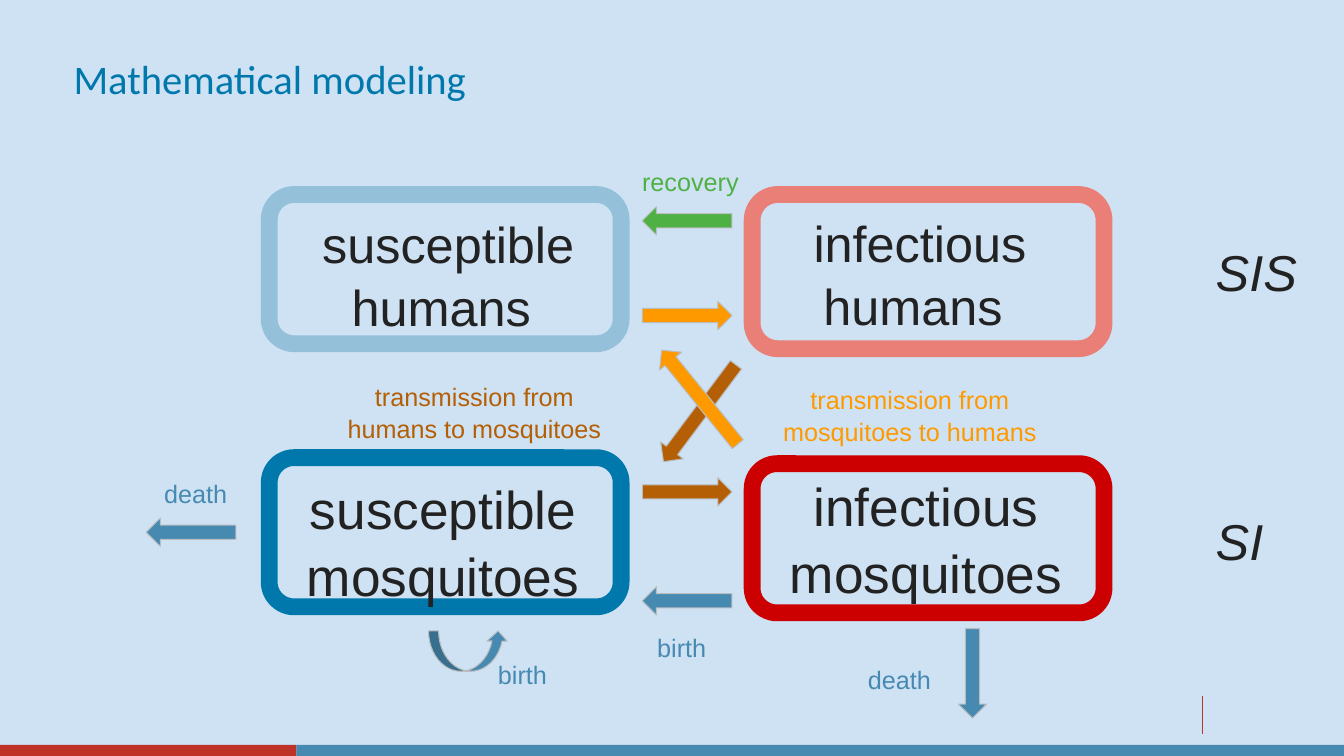
from lxml import etree
from pptx import Presentation
from pptx.dml.color import RGBColor
from pptx.enum.shapes import MSO_CONNECTOR, MSO_SHAPE
from pptx.enum.text import MSO_ANCHOR, PP_ALIGN
from pptx.oxml.ns import qn
from pptx.util import Inches, Pt

RECTANGLE, ROUNDED = MSO_SHAPE.RECTANGLE, MSO_SHAPE.ROUNDED_RECTANGLE
ARROW, CURVED_ARROW = MSO_SHAPE.RIGHT_ARROW, MSO_SHAPE.CURVED_UP_ARROW
LEFT, CENTER, JUSTIFY = PP_ALIGN.LEFT, PP_ALIGN.CENTER, PP_ALIGN.JUSTIFY
TOP, MIDDLE = MSO_ANCHOR.TOP, MSO_ANCHOR.MIDDLE

COLORS = {
    "background": "CFE2F3", "title": "0078AC", "text": "222222", "outline": "BABCBE",
    "red bar": "BF3227", "vital": "468AB2", "recovery": "4FB043",
    "to humans": "FF9900", "to mosquitoes": "B45F06",
    "susceptible humans": "95C0DA", "infectious humans": "E97F77",
    "susceptible mosquitoes": "0078AC", "infectious mosquitoes": "CC0000",
}

WIDTH, HEIGHT = 13.33, 7.5
BAR_HEIGHT, BAR_SPLIT = 0.11, 2.94
SUSCEPTIBLE, BETWEEN, INFECTIOUS, MODEL = 2.67, 6.37, 7.46, 11.96  # column left edges
BOX_WIDTH = 3.49
ARROW_LENGTH, DIAGONAL_LENGTH, ARROW_HEIGHT = 0.89, 1.2, 0.28
RIGHT, DOWN, DOWN_LEFT, WEST, UP_LEFT = 0, 90, 126.8, 180, 231  # clockwise degrees

# colour, left, top, height
COMPARTMENTS = [
    ("susceptible humans", SUSCEPTIBLE, 1.93, 1.48),
    ("infectious humans", INFECTIOUS, 1.93, 1.53),
    ("susceptible mosquitoes", SUSCEPTIBLE, 4.54, 1.48),
    ("infectious mosquitoes", INFECTIOUS, 4.6, 1.48),
]
# colour, left, top, length, direction
FLOWS = [
    ("recovery", BETWEEN, 2.05, ARROW_LENGTH, WEST),
    ("to humans", BETWEEN, 2.99, ARROW_LENGTH, RIGHT),
    ("to mosquitoes", 6.34, 3.96, DIAGONAL_LENGTH, DOWN_LEFT),
    ("to humans", 6.34, 3.8, DIAGONAL_LENGTH, UP_LEFT),
    ("to mosquitoes", BETWEEN, 4.74, ARROW_LENGTH, RIGHT),
    ("vital", BETWEEN, 5.82, ARROW_LENGTH, WEST),
    ("vital", 1.45, 5.14, ARROW_LENGTH, WEST),
    ("vital", 9.2, 6.54, ARROW_LENGTH, DOWN),
]
# paragraphs, left, top, width, height, style
LABELS = [
    (["susceptible humans "], 2.74, 1.98, 3.41, 1.41, "human"),
    (["infectious", "humans "], 7.36, 1.97, 3.53, 1.41, "human"),
    (["susceptible mosquitoes"], 2.84, 4.59, 3.11, 1.48, "mosquito"),
    (["infectious mosquitoes"], 7.63, 4.56, 3.11, 1.48, "mosquito"),
    (["transmission from humans to mosquitoes"], 3.26, 3.67, 2.89, 0.81, "to mosquitoes"),
    (["transmission from mosquitoes to humans"], 7.36, 3.7, 3.33, 0.81, "to humans"),
    (["recovery"], 6.27, 1.54, 1.18, 0.5, "recovery"),
    (["death"], 1.53, 4.63, 0.89, 0.5, "vital"),
    (["birth"], 6.42, 6.16, 0.89, 0.5, "vital"),
    (["birth"], 4.84, 6.43, 0.89, 0.5, "vital"),
    (["death"], 8.51, 6.48, 0.89, 0.5, "vital"),
    (["SIS"], MODEL, 2.26, WIDTH - MODEL, 0.81, "model"),
    (["SI"], MODEL, 4.93, WIDTH - MODEL, 0.81, "model"),
]
# size, colour, alignment, italic
STYLES = {
    "human": (36, "text", CENTER, False),
    "mosquito": (38, "text", CENTER, False),
    "model": (36, "text", LEFT, True),
    "to mosquitoes": (18, "to mosquitoes", CENTER, False),
    "to humans": (18, "to humans", CENTER, False),
    "recovery": (18, "recovery", LEFT, False),
    "vital": (18, "vital", LEFT, False),
    "title": (29, "title", JUSTIFY, False),
}


def color(name):
    return RGBColor.from_string(COLORS[name])


def add_figure(slide, kind, area, fill=None, line=None, line_width=0.75):
    shape = slide.shapes.add_shape(kind, *map(Inches, area))
    shape.shadow.inherit = False
    for part, name in ((shape.fill, fill), (shape.line.fill, line)):
        if name:
            part.solid()
            part.fore_color.rgb = color(name)
        else:
            part.background()
    if line:
        shape.line.width = Pt(line_width)
    return shape


def add_label(slide, paragraphs, area, style, font_name="Arial", margins=(0.1,) * 4,
              anchor=TOP, spacing=1.05):
    size, color_name, alignment, italic = STYLES[style]
    frame = slide.shapes.add_textbox(*map(Inches, area)).text_frame
    frame.text = "\n".join(paragraphs)
    left, top, right, bottom = map(Inches, margins)
    frame_format = {"word_wrap": True, "vertical_anchor": anchor, "margin_left": left,
                    "margin_top": top, "margin_right": right, "margin_bottom": bottom}
    for name, value in frame_format.items():
        setattr(frame, name, value)
    for paragraph in frame.paragraphs:
        paragraph.alignment = alignment
        paragraph.line_spacing = spacing
        font = paragraph.runs[0].font
        for name, value in {"name": font_name, "size": Pt(size), "italic": italic}.items():
            setattr(font, name, value)
        font.color.rgb = color(color_name)


def add_footer(slide):
    mark = slide.shapes.add_connector(
        MSO_CONNECTOR.STRAIGHT, *map(Inches, (11.93, 6.9, 11.93, 7.28)))
    mark.line.color.rgb = color("red bar")
    mark.line.width = Pt(0.75)
    etree.SubElement(mark._element.spPr, qn("a:effectLst"))
    bar_top = HEIGHT - BAR_HEIGHT
    add_figure(slide, RECTANGLE, (0, bar_top, BAR_SPLIT, BAR_HEIGHT), "red bar")
    add_figure(slide, RECTANGLE, (BAR_SPLIT, bar_top, WIDTH - BAR_SPLIT, BAR_HEIGHT), "vital")


def main():
    presentation = Presentation()
    presentation.slide_width, presentation.slide_height = Inches(WIDTH), Inches(HEIGHT)
    slide = presentation.slides.add_slide(presentation.slide_layouts[6])
    slide.background.fill.solid()
    slide.background.fill.fore_color.rgb = color("background")

    add_footer(slide)
    add_label(slide, ["Mathematical modeling"], (0.73, 0.4, 11.87, 0.81), "title",
              "Calibri", (0, 0.07, 0.13, 0.07), MIDDLE, 0.9)
    for name, left, top, height in COMPARTMENTS:
        add_figure(slide, ROUNDED, (left, top, BOX_WIDTH, height), line=name, line_width=12)
    for name, left, top, length, direction in FLOWS:
        arrow = add_figure(slide, ARROW, (left, top, length, ARROW_HEIGHT), name, "outline")
        arrow.rotation = direction
    add_figure(slide, CURVED_ARROW, (4.25, 6.26, 0.79, 0.4), "vital", "outline")
    for paragraphs, *area, style in LABELS:
        add_label(slide, paragraphs, area, style)

    presentation.save("out.pptx")


if __name__ == "__main__":
    main()
